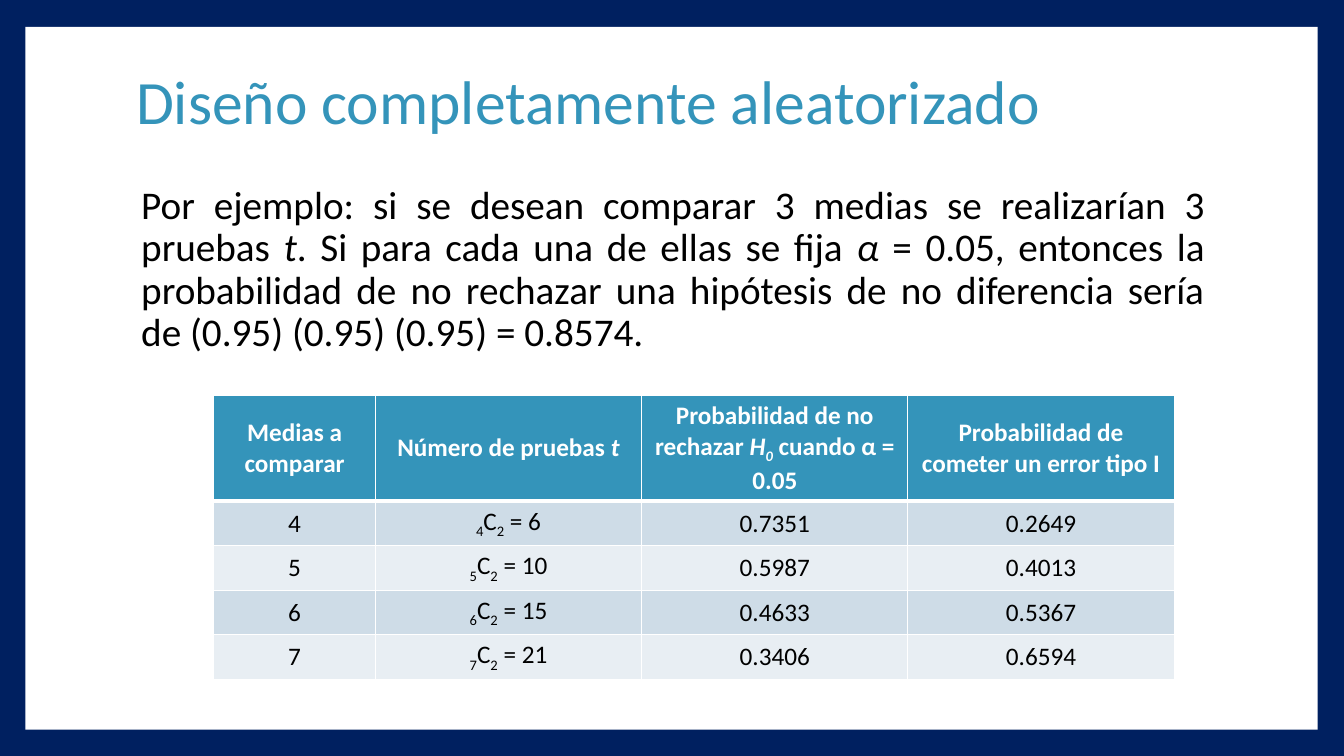
from lxml import etree
from pptx import Presentation
from pptx import util as u
from pptx.dml.color import RGBColor
from pptx.enum import shapes, text
from pptx.oxml import ns

NAVY = RGBColor(0x00, 0x20, 0x60)
TEAL = RGBColor(0x34, 0x94, 0xBA)
BAND_DARK = RGBColor(0xCE, 0xDC, 0xE7)
BAND_LIGHT = RGBColor(0xE8, 0xEE, 0xF3)
WHITE = RGBColor(0xFF, 0xFF, 0xFF)
BLACK = RGBColor(0x00, 0x00, 0x00)
FONT = "Calibri"

PLAIN, ITALIC, SUB, ITALIC_SUB = "", "i", "s", "is"

TITLE = [("Diseño completamente aleatorizado", PLAIN)]
EXAMPLE = [
    ("Por ejemplo: si se desean comparar 3 medias se realizarían 3 pruebas ", PLAIN),
    ("t", ITALIC),
    (". Si para cada una de ellas se fija ", PLAIN),
    ("α", ITALIC),
    (" = 0.05, entonces la probabilidad de no rechazar una hipótesis de no "
     "diferencia sería de (0.95) (0.95) (0.95) = 0.8574.", PLAIN),
]
HEADERS = [
    [("Medias a comparar", PLAIN)],
    [("Número de pruebas ", PLAIN), ("t", ITALIC)],
    [("Probabilidad de no rechazar ", PLAIN), ("H", ITALIC), ("0", ITALIC_SUB),
     (" cuando α = 0.05", PLAIN)],
    [("Probabilidad de cometer un error tipo I", PLAIN)],
]
RESULTS = [
    ("4", "6", "0.7351", "0.2649"),
    ("5", "10", "0.5987", "0.4013"),
    ("6", "15", "0.4633", "0.5367"),
    ("7", "21", "0.3406", "0.6594"),
]
COLUMN_WIDTHS = [4.07, 6.71, 6.71, 6.71]
HEADER_HEIGHT, ROW_HEIGHT = 2.67, 1.12


def write_spans(para, spans, size, color, align, bold=False):
    para.alignment = align
    para.font.name = FONT
    para.font.size = u.Pt(size)
    para.font.color.rgb = color
    para.font.bold = bold
    for words, style in spans:
        span = para.add_run()
        span.text = words
        if "i" in style:
            span.font.italic = True
        if "s" in style:
            span._r.get_or_add_rPr().set("baseline", "-25000")


def add_panel(page, left, top, width, height):
    panel = page.shapes.add_shape(
        shapes.MSO_SHAPE.RECTANGLE, u.Cm(left), u.Cm(top), u.Cm(width), u.Cm(height))
    panel.shadow.inherit = False
    panel.fill.solid()
    panel.fill.fore_color.rgb = WHITE
    panel.line.fill.background()


def add_text(page, top, height, spans, size, color, align, anchor, indent=0):
    box = page.shapes.add_textbox(u.Cm(3.18), u.Cm(top), u.Cm(27.43), u.Cm(height))
    frame = box.text_frame
    frame.word_wrap = True
    frame.vertical_anchor = anchor
    frame.margin_left = u.Cm(0.25 + indent)
    para = frame.paragraphs[0]
    para.line_spacing = 0.9
    write_spans(para, spans, size, color, align)


def set_borders(cell, bottom_width):
    properties = cell._tc.get_or_add_tcPr()
    for side in "LRTB":
        width = bottom_width if side == "B" else 1
        line = etree.SubElement(properties, ns.qn(f"a:ln{side}"), w=str(u.Pt(width)))
        fill = etree.SubElement(line, ns.qn("a:solidFill"))
        etree.SubElement(fill, ns.qn("a:srgbClr"), val=str(WHITE))


def fill_cell(cell, spans, fill, color, bold=False, bottom_width=1):
    set_borders(cell, bottom_width)
    cell.fill.solid()
    cell.fill.fore_color.rgb = fill
    cell.vertical_anchor = text.MSO_ANCHOR.MIDDLE
    write_spans(cell.text_frame.paragraphs[0], spans, 18, color,
                text.PP_ALIGN.CENTER, bold)


def result_spans(means, tests, accepted, error):
    combination = [(means, SUB), ("C", PLAIN), ("2", SUB), (f" = {tests}", PLAIN)]
    return [[(means, PLAIN)], combination, [(accepted, PLAIN)], [(error, PLAIN)]]


def add_results_table(page, left, top):
    height = HEADER_HEIGHT + ROW_HEIGHT * len(RESULTS)
    table = page.shapes.add_table(
        len(RESULTS) + 1, len(HEADERS), u.Cm(left), u.Cm(top),
        u.Cm(sum(COLUMN_WIDTHS)), u.Cm(height)).table
    for column, width in zip(table.columns, COLUMN_WIDTHS):
        column.width = u.Cm(width)
    for index, row in enumerate(table.rows):
        row.height = u.Cm(ROW_HEIGHT if index else HEADER_HEIGHT)
    for column, spans in enumerate(HEADERS):
        fill_cell(table.cell(0, column), spans, TEAL, WHITE, True, 3)
    for index, result in enumerate(RESULTS, 1):
        band = BAND_DARK if index % 2 else BAND_LIGHT
        for column, spans in enumerate(result_spans(*result)):
            fill_cell(table.cell(index, column), spans, band, BLACK)


def main():
    deck = Presentation()
    deck.slide_width, deck.slide_height = u.Cm(33.87), u.Cm(19.05)
    page = deck.slides.add_slide(deck.slide_layouts[6])
    page.background.fill.solid()
    page.background.fill.fore_color.rgb = NAVY
    add_panel(page, 0.64, 0.68, 32.57, 17.71)
    add_text(page, 0.76, 3.76, TITLE, 44, TEAL,
             text.PP_ALIGN.LEFT, text.MSO_ANCHOR.MIDDLE)
    add_text(page, 4.55, 12.45, EXAMPLE, 28, BLACK,
             text.PP_ALIGN.JUSTIFY, text.MSO_ANCHOR.TOP, 0.13)
    add_results_table(page, 5.39, 9.96)
    deck.save("out.pptx")


if __name__ == "__main__":
    main()
